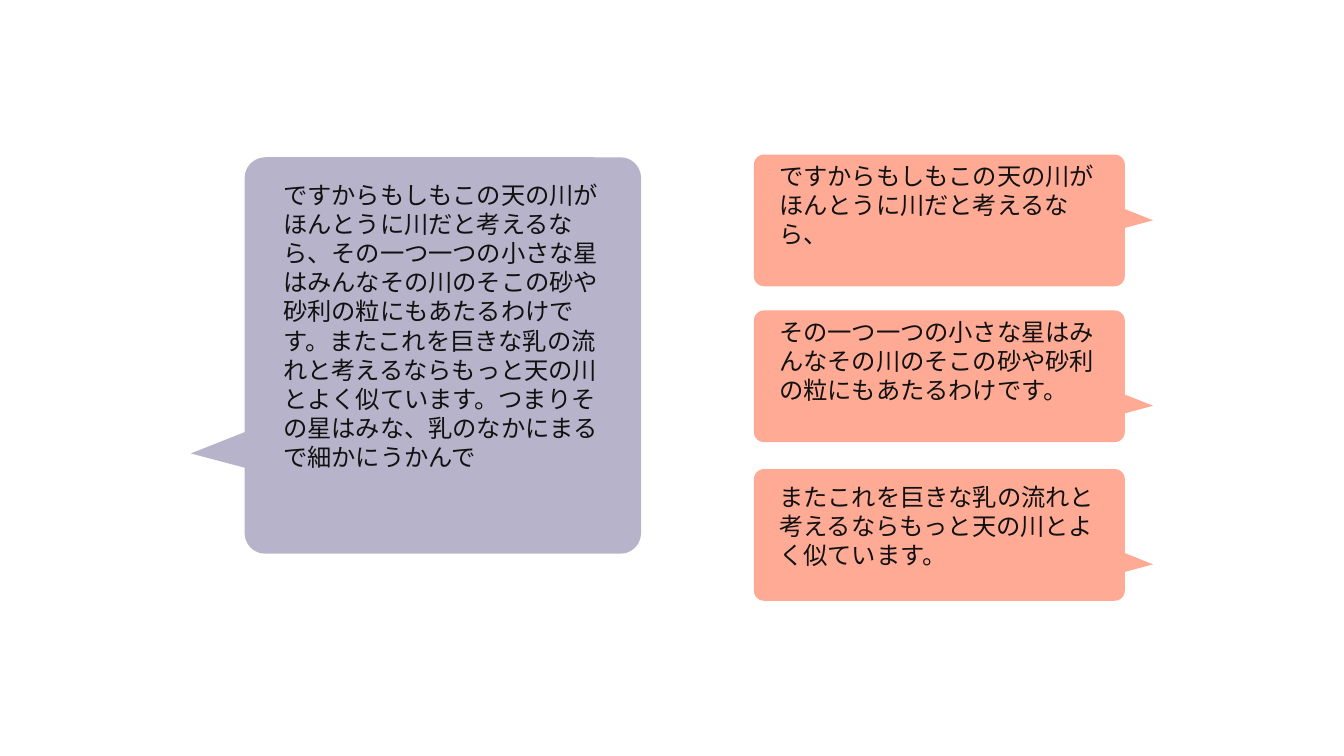
"""Build a slide with one large speech bubble and three small ones."""
from pptx import Presentation
from pptx.dml.color import RGBColor
from pptx.enum.lang import MSO_LANGUAGE_ID
from pptx.enum.shapes import MSO_SHAPE
from pptx.enum.text import MSO_ANCHOR
from pptx.util import Inches, Pt

ROUNDED = MSO_SHAPE.ROUNDED_RECTANGLE
TOP = MSO_ANCHOR.TOP
JAPANESE = MSO_LANGUAGE_ID.JAPANESE

COLORS = {"lavender": "B7B3CA", "coral": "FFAA95", "ink": "111111"}
LARGE_TEXT = (
    "ですからもしもこの天の川がほんとうに川だと考えるなら、"
    "その一つ一つの小さな星はみんなその川のそこの砂や砂利の粒にもあたるわけです。"
    "またこれを巨きな乳の流れと考えるならもっと天の川とよく似ています。"
    "つまりその星はみな、乳のなかにまるで細かにうかんで"
)
SMALL_BUBBLES = [
    {"text": "ですからもしもこの天の川がほんとうに川だと考えるなら、",
     "top": 1.15, "text_inset": 0, "tail_drop": 0.37},
    {"text": "その一つ一つの小さな星はみんなその川のそこの砂や砂利の粒にもあたるわけです。",
     "top": 2.31, "text_inset": 0, "tail_drop": 0.59},
    {"text": "またこれを巨きな乳の流れと考えるならもっと天の川とよく似ています。",
     "top": 3.49, "text_inset": 0.05, "tail_drop": 0.59},
]
TEXT_WIDTH = 2.56
FONT_FORMAT = {"name": "Arial", "size": Pt(13), "language_id": JAPANESE}
FRAME_FORMAT = {"word_wrap": True, "vertical_anchor": TOP}


def paint(shape, color):
    shape.fill.solid()
    shape.fill.fore_color.rgb = RGBColor.from_string(COLORS[color])
    shape.line.fill.background()
    shape.shadow.inherit = False


def add_box(slide, bounds, rounding, color):
    box = slide.shapes.add_shape(ROUNDED, *map(Inches, bounds))
    box.adjustments[0] = rounding
    paint(box, color)


def add_text(slide, bounds, text):
    frame = slide.shapes.add_textbox(*map(Inches, bounds)).text_frame
    for name, value in FRAME_FORMAT.items():
        setattr(frame, name, value)
    para = frame.paragraphs[0]
    para._p.get_or_add_pPr().set("hangingPunct", "0")
    span = para.add_run()
    span.text = text
    for name, value in FONT_FORMAT.items():
        setattr(span.font, name, value)
    span.font.color.rgb = RGBColor.from_string(COLORS["ink"])


def add_tail(slide, base_x, tip_x, top, height, color):
    points = [(tip_x, top + height * 0.6), (base_x, top + height)]
    builder = slide.shapes.build_freeform(Inches(base_x), Inches(top))
    builder.add_line_segments([(Inches(x), Inches(y)) for x, y in points], close=True)
    paint(builder.convert_to_shape(), color)


def main():
    deck = Presentation()
    deck.slide_width, deck.slide_height = Inches(10), Inches(10 * 9 / 16)
    slide = deck.slides.add_slide(deck.slide_layouts[6])

    add_box(slide, (1.82, 1.17, 2.95, 2.95), 0.052, "lavender")
    add_text(slide, (2.01, 1.29, TEXT_WIDTH, 2.7), LARGE_TEXT)
    add_tail(slide, 2.01, 1.42, 3.14, 0.39, "lavender")

    for bubble in SMALL_BUBBLES:
        top, inset = bubble["top"], bubble["text_inset"]
        add_box(slide, (5.61, top, 2.76, 0.98), 0.077, "coral")
        add_text(slide, (5.7, top + inset, TEXT_WIDTH, 0.98 - 2 * inset), bubble["text"])
        add_tail(slide, 8.28, 8.58, top + bubble["tail_drop"], 0.2, "coral")

    deck.save("out.pptx")


if __name__ == "__main__":
    main()
